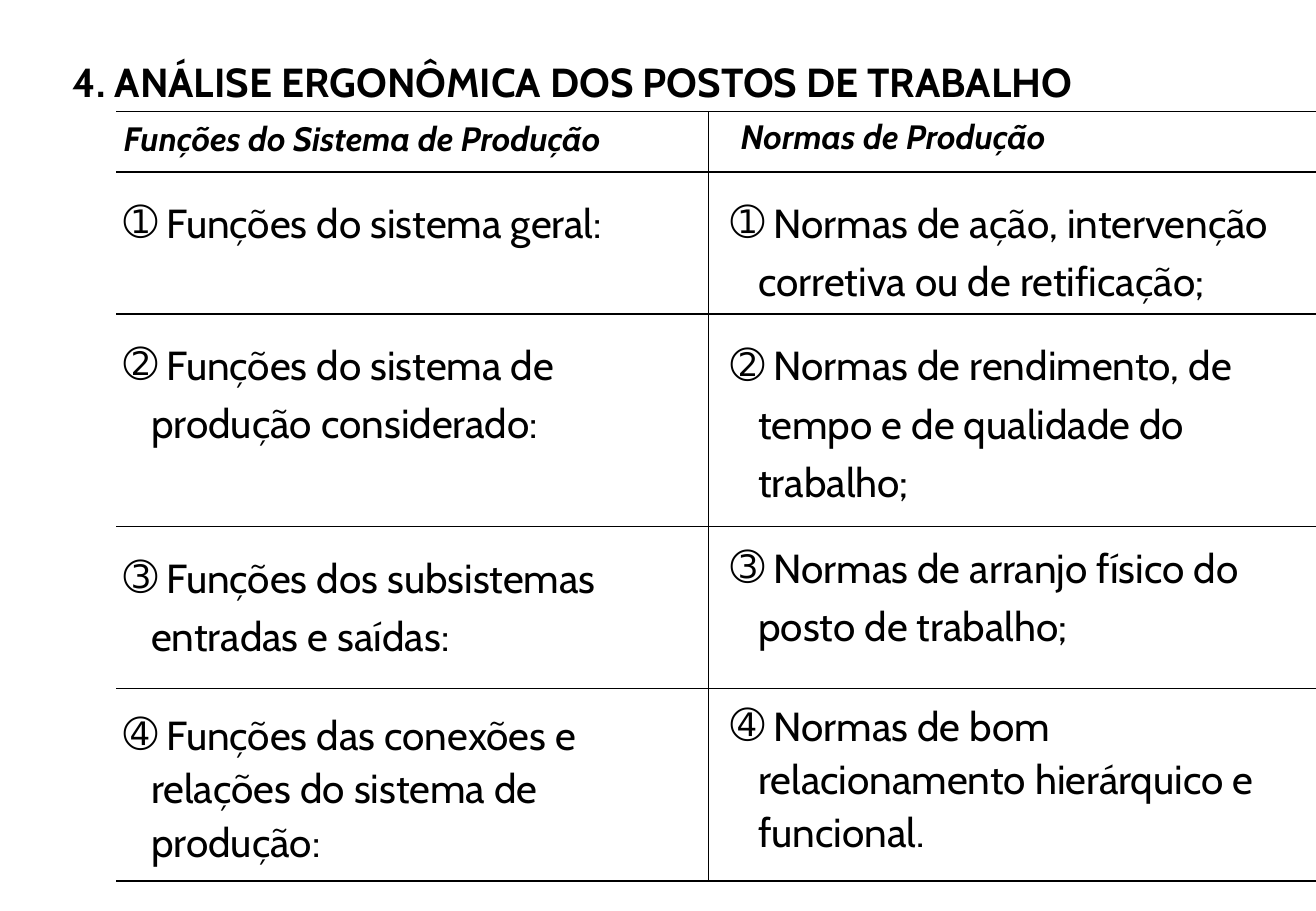
"""Build the slide on functions and norms of the production system."""
import pptx
import pptx.util
import pptx.dml.color
import pptx.enum.text
import pptx.enum.shapes
from lxml import etree

Cm, Pt = pptx.util.Cm, pptx.util.Pt
NS = "http://schemas.openxmlformats.org/drawingml/2006/main"
COLORS = {"ink": "000000", "paper": "FFFFFF"}


def add_text(p, text, size=24, bold=False, italic=False, bullet=None, spacing=1.0, before=0):
    """Write text into a paragraph, with an optional hanging bullet."""
    p.alignment = pptx.enum.text.PP_ALIGN.LEFT
    p.line_spacing = spacing
    p.space_before = before
    p.space_after = 0
    pPr = p._p.get_or_add_pPr()
    indent = Cm(0.58) if bullet else 0
    pPr.set("marL", str(indent))
    pPr.set("indent", str(-indent))
    if bullet:
        clr = etree.SubElement(pPr, f"{{{NS}}}buClr")
        etree.SubElement(clr, f"{{{NS}}}srgbClr", val=COLORS["ink"])
        etree.SubElement(pPr, f"{{{NS}}}buFont", typeface="Cabin")
        etree.SubElement(pPr, f"{{{NS}}}buChar", char=bullet)
    r = p.add_run()
    r.text = text
    r.font.name = "Cabin"
    r.font.size = Pt(size)
    r.font.bold = bold
    r.font.italic = italic
    r.font.color.rgb = pptx.dml.color.RGBColor.from_string(COLORS["ink"])


def place(sp, left, top, width, height):
    """Move a placeholder and return its text frame."""
    sp.left, sp.top, sp.width, sp.height = Cm(left), Cm(top), Cm(width), Cm(height)
    tf = sp.text_frame
    tf.word_wrap = True
    tf.auto_size = pptx.enum.text.MSO_AUTO_SIZE.NONE
    tf.vertical_anchor = pptx.enum.text.MSO_ANCHOR.TOP
    return tf


prs = pptx.Presentation()
prs.slide_width, prs.slide_height = Cm(27.53), Cm(19.05)
s = prs.slides.add_slide(prs.slide_layouts.get_by_name("Comparison"))
s.background.fill.solid()
s.background.fill.fore_color.rgb = pptx.dml.color.RGBColor.from_string(COLORS["paper"])

tf = place(s.shapes.title, 1.27, 1.06, 26.25, 1.28)
add_text(tf.paragraphs[0], "4. ANÁLISE ERGONÔMICA DOS POSTOS DE TRABALHO", bold=True)

bullets = "➀➁➂➃"
spacings = [1.2, 1.2, 1.2, 1.1]
columns = [
    {"head": "Funções do Sistema de Produção", "head_at": (2.33, 2.33, 12.42, 1.12),
     "list_at": (2.33, 3.81, 12.42, 14.4), "gaps": [0, 1.75, 2.01, 0.95],
     "items": ["Funções do sistema geral:",
               "Funções do sistema de produção considerado:",
               "Funções dos subsistemas entradas e saídas:",
               "Funções das conexões e relações do sistema de produção:"]},
    {"head": "Normas de Produção", "head_at": (15.24, 2.3, 12.28, 1.12),
     "list_at": (15.03, 3.81, 12.49, 14.2), "gaps": [0, 0.54, 0.57, 0.97],
     "items": ["Normas de ação, intervenção corretiva ou de retificação;",
               "Normas de rendimento, de tempo e de qualidade do trabalho;",
               "Normas de arranjo físico do posto de trabalho;",
               "Normas de bom relacionamento hierárquico e funcional."]},
]
for i, col in enumerate(columns):
    tf = place(s.placeholders[2 * i + 1], *col["head_at"])
    add_text(tf.paragraphs[0], col["head"], size=20, bold=True, italic=True)
    tf = place(s.placeholders[2 * i + 2], *col["list_at"])
    for j, (item, gap) in enumerate(zip(col["items"], col["gaps"])):
        p = tf.add_paragraph() if j else tf.paragraphs[0]
        add_text(p, " " + item, bullet=bullets[j], spacing=spacings[j], before=Cm(gap))

left, right, divider = 2.43, 27.52, 14.82
row_lines = [2.33, 3.6, 6.56, 11.01, 14.4, 18.42]
rules = [(left, y, right, y) for y in row_lines]
rules.append((divider, row_lines[0], divider, row_lines[-1]))
for x1, y1, x2, y2 in rules:
    line = s.shapes.add_connector(pptx.enum.shapes.MSO_CONNECTOR.STRAIGHT,
                                  Cm(x1), Cm(y1), Cm(x2), Cm(y2))
    line.line.color.rgb = pptx.dml.color.RGBColor.from_string(COLORS["ink"])
    line.line.width = Pt(1)
    etree.SubElement(line._element.spPr, f"{{{NS}}}effectLst")

prs.save("out.pptx")
